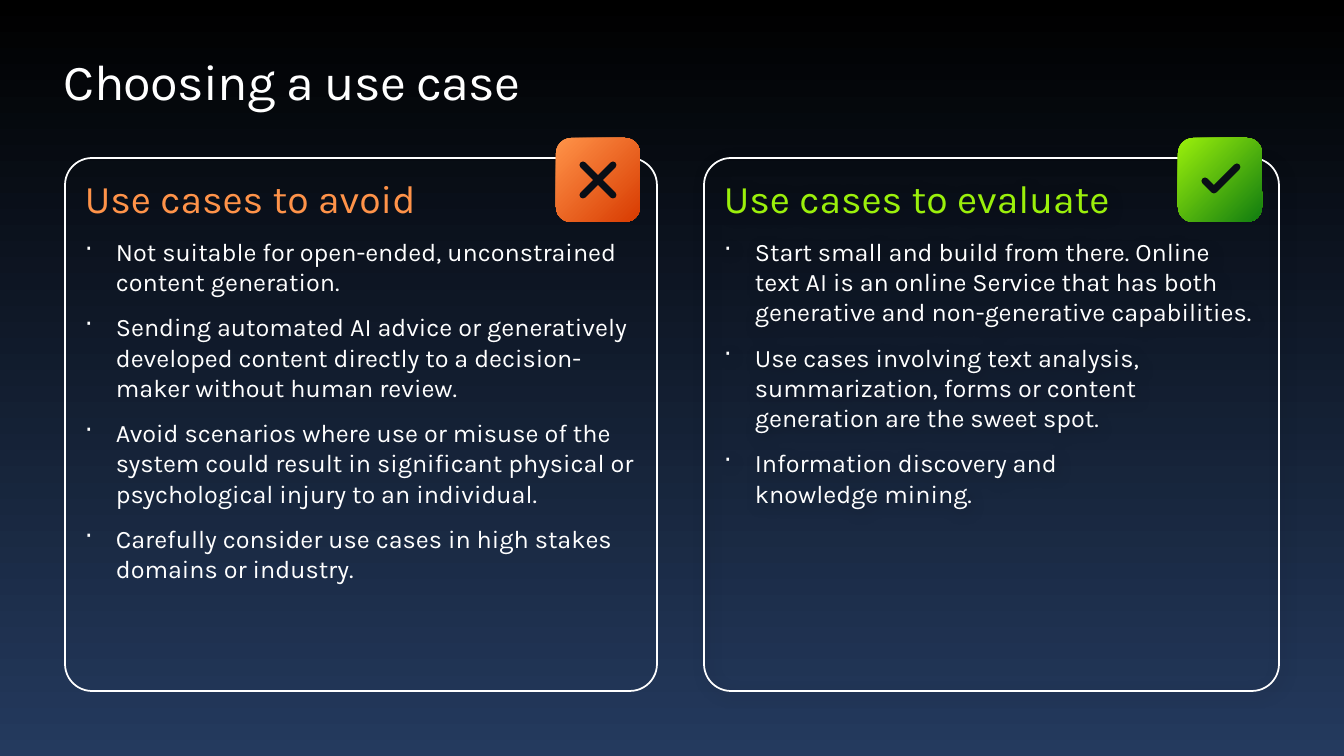
from lxml import etree
from pptx import Presentation
from pptx import util as u
from pptx.dml.color import RGBColor
from pptx.enum import shapes, text
from pptx.oxml.ns import qn

PX = u.Inches(1) / 100.8
FONT = "Karla"

WHITE = RGBColor(0xFF, 0xFF, 0xFF)
BLACK = RGBColor(0x00, 0x00, 0x00)
NAVY = RGBColor(0x24, 0x3A, 0x5E)
MARK_DARK = RGBColor(0x09, 0x0E, 0x16)
ORANGE = RGBColor(0xFF, 0x93, 0x49)
RUST = RGBColor(0xD8, 0x3B, 0x01)
LIME = RGBColor(0x9B, 0xF0, 0x0B)
GREEN = RGBColor(0x10, 0x7C, 0x10)

PANEL_RADIUS = 27
BADGE_SIZE = 84
BADGE_RADIUS = 15
BADGE_RISE = 20
BADGE_GAP = 17

# Strokes of each mark, relative to the top left of its badge
CROSS = [[(27, 27), (57, 57)], [(57, 27), (27, 57)]]
CHECK = [[(27, 43), (36, 52), (59, 29)]]

AVOID = [
    "Not suitable for open-ended, unconstrained content generation.",
    "Sending automated AI advice or generatively developed content directly "
    "to a decision-maker without human review.",
    "Avoid scenarios where use or misuse of the system could result in "
    "significant physical or psychological injury to an individual.",
    "Carefully consider use cases in high stakes domains or industry.",
]
EVALUATE = [
    "Start small and build from there. Online text AI is an online Service "
    "that has both generative and non-generative capabilities.",
    "Use cases involving text analysis, summarization, forms or content "
    "generation are the sweet spot.",
    "Information discovery and\vknowledge mining.",
]


def px(length):
    return u.Emu(round(length * PX))


def set_gradient(fill, colours, angle):
    fill.gradient()
    fill.gradient_angle = 360 - angle
    for stop, colour in zip(fill.gradient_stops, colours):
        stop.color.rgb = colour


def set_insets(frame, horizontal, vertical):
    frame.word_wrap = True
    frame.vertical_anchor = text.MSO_ANCHOR.TOP
    frame.margin_left = frame.margin_right = px(horizontal)
    frame.margin_top = frame.margin_bottom = px(vertical)


def format_runs(paragraph, size, colour):
    paragraph.alignment = text.PP_ALIGN.LEFT
    for run in paragraph.runs:
        run.font.name = FONT
        run.font.size = u.Pt(size)
        run.font.color.rgb = colour


def add_bullet(paragraph):
    properties = paragraph._p.get_or_add_pPr()
    properties.set("marL", str(px(31)))
    properties.set("indent", str(-px(31)))
    etree.SubElement(properties, qn("a:buChar")).set("char", "·")


def add_soft_shadow(shape):
    effects = shape._element.spPr.find(qn("a:effectLst"))
    shadow = etree.SubElement(effects, qn("a:outerShdw"), blurRad=str(u.Pt(10)),
                              dist=str(u.Pt(3)), dir=str(45 * 60000))
    colour = etree.SubElement(shadow, qn("a:srgbClr"), val=str(BLACK))
    etree.SubElement(colour, qn("a:alpha"), val="25000")


def add_round_box(slide, left, top, width, height, radius):
    shape = slide.shapes.add_shape(shapes.MSO_SHAPE.ROUNDED_RECTANGLE,
                                   px(left), px(top), px(width), px(height))
    shape.adjustments[0] = radius / min(width, height)
    shape.shadow.inherit = False
    return shape


def add_title(slide, left, top, width, height):
    box = slide.shapes.add_textbox(px(left), px(top), px(width), px(height))
    set_insets(box.text_frame, 0, 0)
    paragraph = box.text_frame.paragraphs[0]
    paragraph.text = "Choosing a use case"
    format_runs(paragraph, 36, WHITE)
    paragraph.runs[0].font._element.set("spc", "-50")


def add_badge(slide, left, top, colours, strokes):
    badge = add_round_box(slide, left, top, BADGE_SIZE, BADGE_SIZE, BADGE_RADIUS)
    set_gradient(badge.fill, colours, 45)
    badge.line.fill.background()

    # Mark drawn with rounded strokes
    points = [[(left + x, top + y) for x, y in stroke] for stroke in strokes]
    builder = slide.shapes.build_freeform(*points[0][0], scale=PX)
    for number, stroke in enumerate(points):
        if number:
            builder.move_to(*stroke[0])
        builder.add_line_segments(stroke[1:], close=False)
    mark = builder.convert_to_shape()
    mark.shadow.inherit = False
    mark.fill.background()
    mark.line.color.rgb = MARK_DARK
    mark.line.width = u.Pt(5)
    outline = mark._element.spPr.find(qn("a:ln"))
    outline.set("cap", "rnd")
    etree.SubElement(outline, qn("a:round"))


def add_panel(slide, left, top, width, height, heading, items, colours, strokes,
              shadow=False):
    panel = add_round_box(slide, left, top, width, height, PANEL_RADIUS)
    panel.fill.background()
    panel.line.color.rgb = WHITE
    panel.line.width = u.Pt(1.25)
    if shadow:
        add_soft_shadow(panel)

    # Heading and bullets
    frame = panel.text_frame
    set_insets(frame, 12, 8)
    frame.text = heading
    format_runs(frame.paragraphs[0], 28, colours[0])
    for item in items:
        paragraph = frame.add_paragraph()
        paragraph.text = item
        add_bullet(paragraph)
        paragraph.space_before = u.Pt(10.8)
        format_runs(paragraph, 18, WHITE)

    # Badge over the top right corner
    add_badge(slide, left + width - BADGE_GAP - BADGE_SIZE, top - BADGE_RISE,
              colours, strokes)


def main():
    presentation = Presentation()
    presentation.slide_width = px(1344)
    presentation.slide_height = px(756)
    slide = presentation.slides.add_slide(presentation.slide_layouts[6])
    set_gradient(slide.background.fill, (BLACK, NAVY), 90)

    add_title(slide, 64, 50, 1215, 62)
    add_panel(slide, 65, 158, 592, 533, "Use cases to avoid", AVOID,
              (ORANGE, RUST), CROSS)
    add_panel(slide, 704, 158, 575, 533, "Use cases to evaluate", EVALUATE,
              (LIME, GREEN), CHECK, shadow=True)
    presentation.save("out.pptx")


if __name__ == "__main__":
    main()
